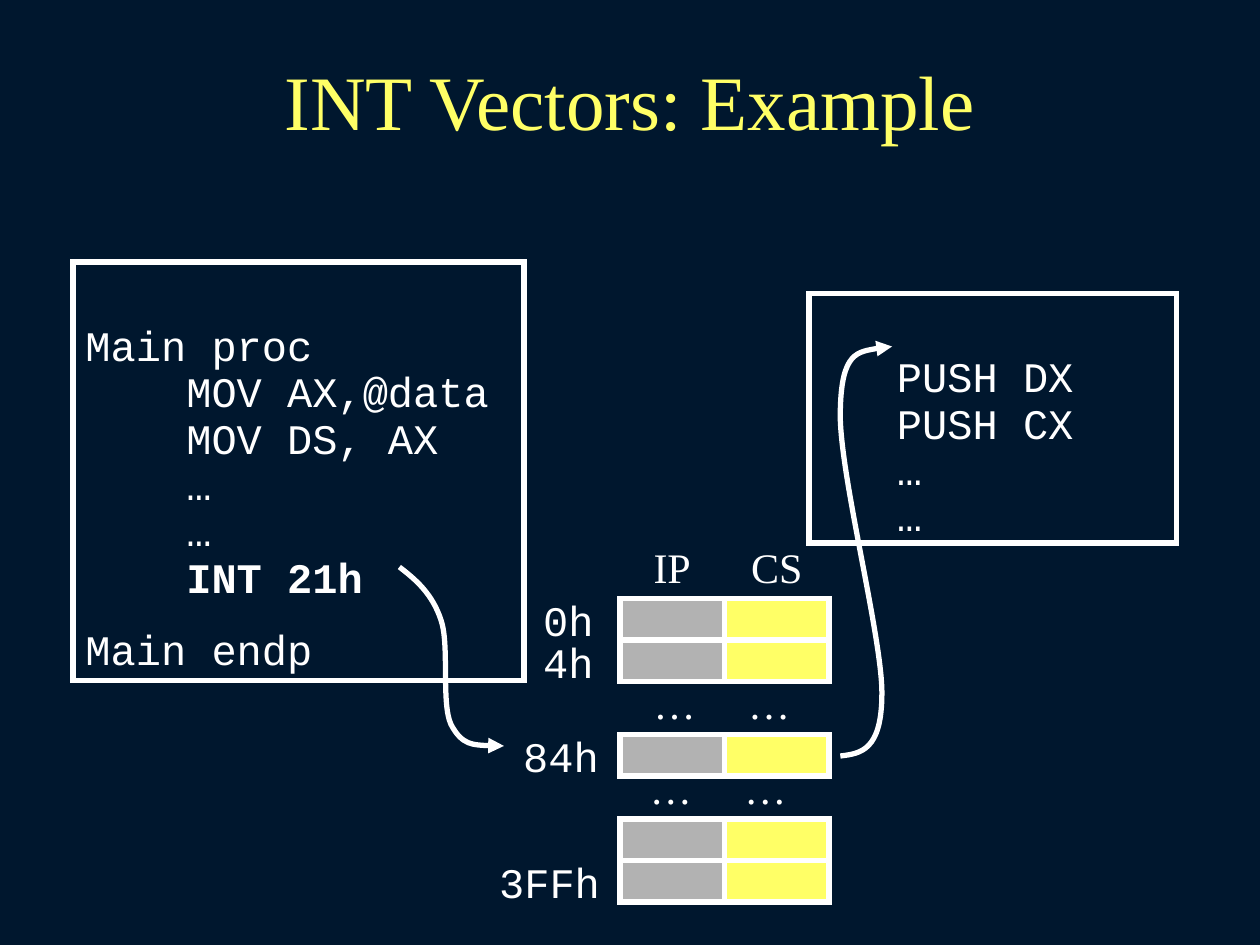
from dataclasses import dataclass

from lxml import etree
from pptx import Presentation
from pptx.dml.color import RGBColor
from pptx.enum.shapes import MSO_SHAPE
from pptx.enum.text import MSO_ANCHOR, MSO_AUTO_SIZE, PP_ALIGN
from pptx.oxml.ns import qn
from pptx.util import Inches, Pt

NAVY = RGBColor(0x00, 0x17, 0x2E)
YELLOW = RGBColor(0xFF, 0xFF, 0x66)
GRAY = RGBColor(0xB2, 0xB2, 0xB2)
WHITE = RGBColor(0xFF, 0xFF, 0xFF)
SERIF, MONO = "Times New Roman", "Courier New"
RECT = MSO_SHAPE.RECTANGLE
LEFT, CENTER, RIGHT = PP_ALIGN.LEFT, PP_ALIGN.CENTER, PP_ALIGN.RIGHT
TOP, MIDDLE = MSO_ANCHOR.TOP, MSO_ANCHOR.MIDDLE
NO_FIT, GROW = MSO_AUTO_SIZE.NONE, MSO_AUTO_SIZE.SHAPE_TO_FIT_TEXT

CELL_W, CELL_H = 0.83, 0.33
IP_LEFT, CS_LEFT = 4.92, 5.75
LABEL_H = 0.5


@dataclass
class Label:
    text: str
    left: float
    top: float
    width: float
    font: str = SERIF
    align: PP_ALIGN = CENTER


@dataclass
class CodeBox:
    left: float
    top: float
    width: float
    height: float
    lines: list[str]
    bold_line: str = ""
    full_height_line: str = ""


ROW_TOPS = [4.75, 5.08, 5.83, 6.5, 6.83]

LABELS = [
    Label("IP", 5.06, 4.25, 0.55),
    Label("CS", 5.86, 4.25, 0.61),
    Label("…", 5.09, 5.33, 0.53),
    Label("…", 5.84, 5.33, 0.53),
    Label("…", 5.06, 6, 0.53),
    Label("…", 5.81, 6, 0.53),
    Label("0h", 4.21, 4.67, 0.6, MONO, RIGHT),
    Label("4h", 4.21, 5, 0.6, MONO, RIGHT),
    Label("84h", 4, 5.75, 0.85, MONO, RIGHT),
    Label("3FFh", 3.86, 6.75, 1, MONO, RIGHT),
]

CODE_BOXES = [
    CodeBox(0.58, 2.08, 3.58, 3.32,
            ["Main proc", "    MOV AX,@data", "    MOV DS, AX", "    …", "    …",
             "    INT 21h", "Main endp"],
            bold_line="    INT 21h", full_height_line="Main endp"),
    CodeBox(6.42, 2.33, 2.92, 1.98,
            ["   PUSH DX", "   PUSH CX", "   …", "   …"]),
]

# Each curve is a start point followed by three points per Bézier segment.
CURVES = [
    [(3.17, 4.5), (3.3, 4.6), (3.43, 4.71), (3.5, 4.92), (3.57, 5.12),
     (3.5, 5.58), (3.58, 5.75), (3.67, 5.92), (3.83, 5.92), (4, 5.92)],
    [(6.67, 6), (6.83, 5.98), (7, 5.96), (7, 5.5), (7, 5.04),
     (6.65, 3.71), (6.67, 3.25), (6.68, 2.79), (6.88, 2.77), (7.08, 2.75)],
]


def add_run(p, text: str, *, font: str, size: float = 24,
            color: RGBColor = WHITE, bold: bool = False) -> None:
    r = p.add_run()
    r.text = text
    r.font.name = font
    r.font.size = Pt(size)
    r.font.color.rgb = color
    r.font.bold = bold


def add_text(slide, text: str, left: float, top: float, width: float, height: float, *,
             align: PP_ALIGN = CENTER, anchor: MSO_ANCHOR = TOP, wrap: bool = False,
             fit: MSO_AUTO_SIZE = GROW, **run_format) -> None:
    sp = slide.shapes.add_textbox(Inches(left), Inches(top), Inches(width), Inches(height))
    tf = sp.text_frame
    tf.word_wrap = wrap
    tf.auto_size = fit
    tf.vertical_anchor = anchor
    p = tf.paragraphs[0]
    p.alignment = align
    add_run(p, text, **run_format)


def set_outline(sp, tag: str, **attributes: str) -> None:
    """Give the shape a white 3 pt line with one more line property."""
    sp.shadow.inherit = False
    sp.line.color.rgb = WHITE
    sp.line.width = Pt(3)
    ln = next(sp.element.iter(qn("a:ln")))
    etree.SubElement(ln, qn(tag), **attributes)


def add_rect(slide, left: float, top: float, width: float, height: float,
             fill: RGBColor | None = None):
    sp = slide.shapes.add_shape(RECT, Inches(left), Inches(top), Inches(width), Inches(height))
    if fill is None:
        sp.fill.background()
    else:
        sp.fill.solid()
        sp.fill.fore_color.rgb = fill
    set_outline(sp, "a:miter", lim="800000")
    return sp


def add_code_box(slide, box: CodeBox) -> None:
    tf = add_rect(slide, box.left, box.top, box.width, box.height).text_frame
    tf.word_wrap = True
    tf.auto_size = NO_FIT
    tf.vertical_anchor = TOP
    tf.margin_top = Inches(0.66)
    for i, line in enumerate(box.lines):
        p = tf.add_paragraph() if i else tf.paragraphs[0]
        p.alignment = LEFT
        p.line_spacing = 1.0 if line == box.full_height_line else 0.4
        if i:
            p.space_before = Pt(15)
        add_run(p, line, font=MONO, bold=line == box.bold_line)


def add_curved_arrow(slide, points: list[tuple[float, float]]) -> None:
    """Draw a freeform whose points are cubic Bézier controls, with an arrowhead at its end."""
    emu = [(Inches(x), Inches(y)) for x, y in points]
    builder = slide.shapes.build_freeform(*emu[0])
    builder.add_line_segments(emu[1:], close=False)
    sp = builder.convert_to_shape()
    sp.fill.background()
    set_outline(sp, "a:tailEnd", type="triangle")
    outline = next(sp.element.iter(qn("a:path")))
    segments = outline.findall(qn("a:lnTo"))
    for i in range(0, len(segments), 3):
        curve = etree.SubElement(outline, qn("a:cubicBezTo"))
        for segment in segments[i:i + 3]:
            curve.append(segment[0])
            outline.remove(segment)


def main() -> None:
    prs = Presentation()
    prs.slide_width, prs.slide_height = Inches(10), Inches(7.5)
    slide = prs.slides.add_slide(prs.slide_layouts[6])
    slide.background.fill.solid()
    slide.background.fill.fore_color.rgb = NAVY

    add_text(slide, "INT Vectors: Example", 0.75, 0.33, 8.5, 0.92, anchor=MIDDLE,
             wrap=True, fit=NO_FIT, font=SERIF, size=44, color=YELLOW)
    for box in CODE_BOXES:
        add_code_box(slide, box)
    for top in ROW_TOPS:
        add_rect(slide, IP_LEFT, top, CELL_W, CELL_H, GRAY)
        add_rect(slide, CS_LEFT, top, CELL_W, CELL_H, YELLOW)
    for label in LABELS:
        add_text(slide, label.text, label.left, label.top, label.width, LABEL_H,
                 align=label.align, font=label.font)
    for points in CURVES:
        add_curved_arrow(slide, points)
    prs.save("out.pptx")


if __name__ == "__main__":
    main()
